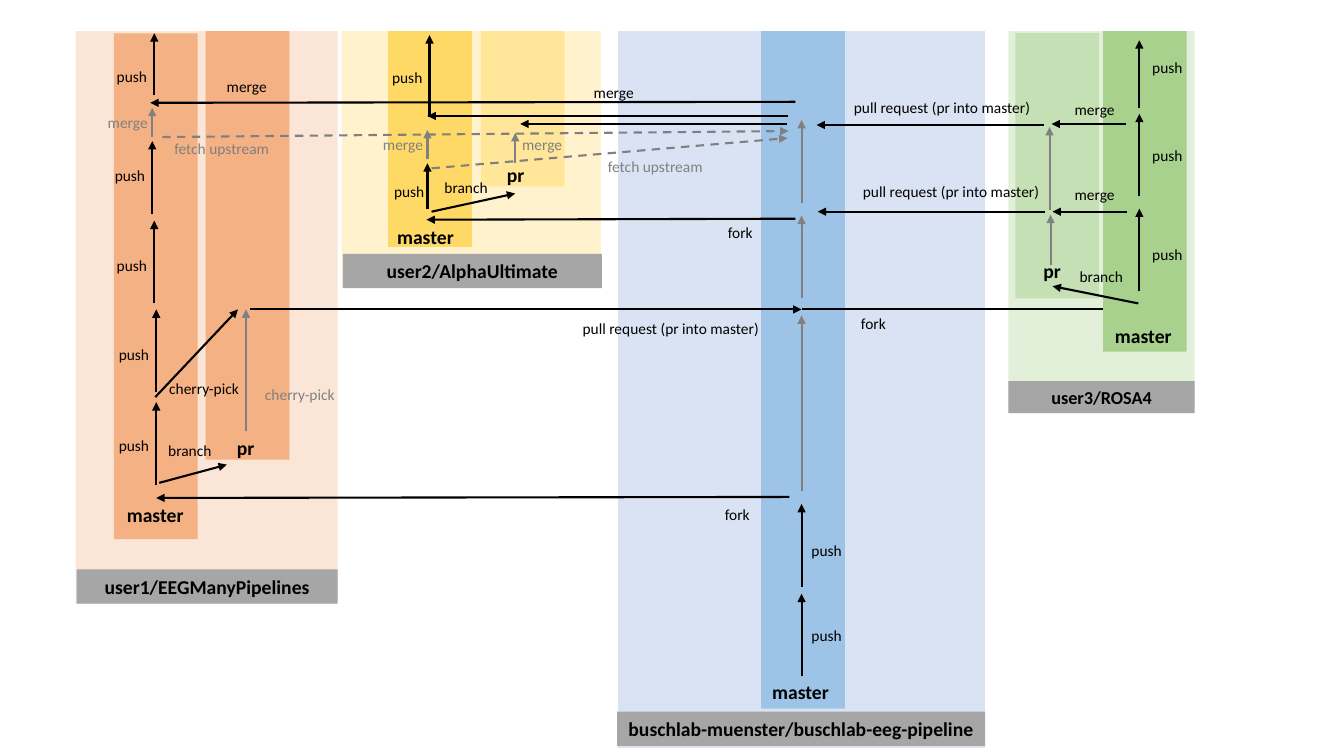
"""Build a slide of the git workflow between a main repository and three forks."""
from typing import NamedTuple

from lxml.etree import SubElement
from pptx import Presentation
from pptx.dml.color import RGBColor as Rgb
from pptx.enum.dml import MSO_LINE
from pptx.enum.shapes import MSO_CONNECTOR as Connector, MSO_SHAPE as Shape
from pptx.enum.text import MSO_ANCHOR as Anchor, MSO_AUTO_SIZE as AutoSize, PP_ALIGN as Align
from pptx.oxml.ns import qn
from pptx.util import Cm, Pt

CM_PER_INCH = 2.54
FONT = "Calibri"
BLACK = Rgb(0x00, 0x00, 0x00)
GREY = Rgb(0x80, 0x80, 0x80)
BAR_GREY = Rgb(0xA6, 0xA6, 0xA6)
PALE_GREEN = Rgb(0xE2, 0xF0, 0xD9)
LIGHT_GREEN = Rgb(0xC5, 0xE0, 0xB4)
GREEN = Rgb(0xA9, 0xD1, 0x8E)
PALE_BLUE = Rgb(0xDA, 0xE3, 0xF3)
BLUE = Rgb(0x9D, 0xC3, 0xE6)
PALE_ORANGE = Rgb(0xFB, 0xE5, 0xD6)
ORANGE = Rgb(0xF4, 0xB1, 0x83)
PALE_YELLOW = Rgb(0xFF, 0xF2, 0xCC)
LIGHT_YELLOW = Rgb(0xFF, 0xE6, 0x99)
YELLOW = Rgb(0xFF, 0xD9, 0x66)
LANE_WIDTH = 0.83


class Area(NamedTuple):
    left: float
    top: float
    width: float
    height: float
    colour: Rgb = BAR_GREY


class NameBar(NamedTuple):
    name: str
    area: Area
    size: int = 14


class Arrow(NamedTuple):
    x1: float
    y1: float
    x2: float
    y2: float
    colour: Rgb = BLACK
    dashed: bool = False


class Label(NamedTuple):
    text: str
    width: float
    spots: list[tuple[float, float]]
    colour: Rgb = BLACK


class History(NamedTuple):
    x: float
    steps: list[tuple[float, float]]
    colour: Rgb = BLACK


BACK_AREAS = [
    Area(10, 0.31, 1.85, 3.79, PALE_GREEN),
    Area(6.13, 0.31, 3.64, 7.11, PALE_BLUE),
    Area(7.55, 0.31, LANE_WIDTH, 6.72, BLUE),
    Area(0.75, 0.31, 2.6, 5.68, PALE_ORANGE),
    Area(2.04, 0.31, LANE_WIDTH, 4.25, ORANGE),
    Area(1.13, 0.33, LANE_WIDTH, 5.02, ORANGE),
]
USER3_FORK = Arrow(7.95, 3.07, 11.34, 3.07)
FRONT_AREAS = [
    Area(10.94, 0.31, LANE_WIDTH, 3.18, GREEN),
    Area(10.07, 0.33, LANE_WIDTH, 2.63, LIGHT_GREEN),
    Area(3.39, 0.31, 2.57, 2.54, PALE_YELLOW),
    Area(4.77, 0.31, LANE_WIDTH, 1.54, LIGHT_YELLOW),
    Area(3.85, 0.31, LANE_WIDTH, 2.14, YELLOW),
]
NAME_BARS = [
    NameBar("buschlab-muenster/buschlab-eeg-pipeline", Area(6.12, 7.06, 3.65, 0.34)),
    NameBar("user1/EEGManyPipelines", Area(0.76, 5.65, 2.59, 0.34)),
    NameBar("user2/AlphaUltimate", Area(3.4, 2.52, 2.57, 0.34)),
    NameBar("user3/ROSA4", Area(10, 3.78, 1.85, 0.32), size=13),
]
HISTORIES = [
    History(7.95, [(6.71, 5.89), (5.82, 5)]),
    History(7.95, [(4.87, 3.13), (2.96, 2.14), (2.01, 1.19)], GREY),
    History(1.55, [(4.81, 3.99), (3.89, 3.07)]),
    History(1.53, [(3.01, 2.19), (0.94, 0.33)]),
    History(1.51, [(2.12, 1.4)]),
    History(1.51, [(1.36, 1.07)], GREY),
    History(2.44, [(4.28, 3.07)], GREY),
    History(4.24, [(2.07, 1.62)]),
    History(4.24, [(1.58, 1.29)], GREY),
    History(4.26, [(1.16, 0.35)]),
    History(5.11, [(1.62, 1.32)], GREY),
    History(10.42, [(2.63, 2.13)], GREY),
    History(10.41, [(2.08, 1.26)], GREY),
    History(11.3, [(2.89, 2.07), (1.94, 1.13), (1.07, 0.4)]),
]
TRANSFERS = [
    Arrow(7.83, 4.93, 1.55, 4.94),
    Arrow(7.89, 2.17, 4.23, 2.18),
    Arrow(2.48, 3.07, 7.95, 3.07),
    Arrow(11.18, 2.1, 10.44, 2.1),
    Arrow(10.36, 2.1, 8.11, 2.1),
    Arrow(11.17, 1.23, 10.43, 1.23),
    Arrow(10.35, 1.24, 8.1, 1.24),
    Arrow(7.81, 1.23, 5.16, 1.23),
    Arrow(7.82, 1.15, 4.24, 1.15),
    Arrow(7.89, 1.01, 1.49, 1.02),
    Arrow(1.54, 3.94, 2.36, 3.07),
    Arrow(1.58, 4.79, 2.25, 4.61),
    Arrow(4.28, 2.1, 5.11, 1.92),
    Arrow(11.29, 3.01, 10.44, 2.84),
    Arrow(4.28, 1.67, 7.81, 1.37, GREY, dashed=True),
    Arrow(1.61, 1.36, 7.82, 1.3, GREY, dashed=True),
]
BRANCH_NAMES = [
    Label("master", 0.77, [(7.56, 6.7), (1.16, 4.94), (10.96, 3.16), (3.84, 2.18)]),
    Label("pr", 0.38, [(2.25, 4.28), (10.25, 2.52), (4.93, 1.57)]),
]
ACTIONS = [
    Label("push", 0.5, [(1.08, 4.28), (1.08, 3.37), (1.06, 2.49), (1.04, 1.6), (1.06, 0.62),
                        (7.95, 6.16), (7.95, 5.32), (3.81, 1.76), (3.79, 0.63),
                        (11.33, 2.38), (11.33, 1.4), (11.33, 0.53)]),
    Label("fork", 0.45, [(7.09, 4.96), (8.44, 3.07), (7.12, 2.16)]),
    Label("branch", 0.64, [(1.57, 4.33), (10.61, 2.6), (4.31, 1.72)]),
    Label("merge", 0.61, [(10.56, 1.79), (10.56, 0.94), (5.79, 0.78), (2.15, 0.72)]),
    Label("merge", 0.61, [(3.7, 1.29), (5.08, 1.29), (0.97, 1.07)], GREY),
    Label("cherry-pick", 0.9, [(1.58, 3.71)]),
    Label("cherry-pick", 0.9, [(2.53, 3.77)], GREY),
    Label("pull request (pr into master)", 1.97, [(5.68, 3.12), (8.46, 1.76), (8.37, 0.92)]),
    Label("fetch upstream", 1.18, [(5.93, 1.51), (1.63, 1.33)], GREY),
]


def inches(*values: float) -> list[Cm]:
    """Convert inch values to lengths."""
    return [Cm(value * CM_PER_INCH) for value in values]


def write(shape, text: str, *, size: int, bold: bool = False,
          colour: Rgb = BLACK, align: Align = Align.LEFT) -> None:
    """Fill a shape with one formatted line of text."""
    frame = shape.text_frame
    frame.word_wrap = False
    frame.auto_size = AutoSize.SHAPE_TO_FIT_TEXT
    paragraph = frame.paragraphs[0]
    paragraph.alignment = align
    run = paragraph.add_run()
    run.text = text
    font = run.font
    font.name, font.size, font.bold = FONT, Pt(size), bold
    font.color.rgb = colour


def draw_area(slide, area: Area):
    """Draw a plain filled rectangle."""
    shape = slide.shapes.add_shape(Shape.RECTANGLE, *inches(*area[:4]))
    shape.shadow.inherit = False
    shape.fill.solid()
    shape.fill.fore_color.rgb = area.colour
    shape.line.fill.background()
    return shape


def draw_name_bar(slide, bar: NameBar) -> None:
    """Draw the bar with a repository's name."""
    shape = draw_area(slide, bar.area)
    shape.text_frame.vertical_anchor = Anchor.MIDDLE
    write(shape, bar.name, size=bar.size, bold=True, align=Align.CENTER)


def draw_arrow(slide, arrow: Arrow) -> None:
    """Draw a straight arrow."""
    connector = slide.shapes.add_connector(Connector.STRAIGHT, *inches(*arrow[:4]))
    line = connector.line
    line.width = Pt(1.5)
    line.color.rgb = arrow.colour
    if arrow.dashed:
        line.dash_style = MSO_LINE.DASH
    properties = connector._element.spPr
    SubElement(properties.find(qn("a:ln")), qn("a:tailEnd"), type="triangle")
    SubElement(properties, qn("a:effectLst"))


def draw_label(slide, label: Label, *, size: int, height: float, bold: bool = False) -> None:
    """Write a label at each of its spots."""
    for left, top in label.spots:
        box = slide.shapes.add_textbox(*inches(left, top, label.width, height))
        write(box, label.text, size=size, bold=bold, colour=label.colour)


def main() -> None:
    """Build and save the slide."""
    deck = Presentation()
    deck.slide_width, deck.slide_height = inches(13.33, 7.5)
    slide = deck.slides.add_slide(deck.slide_layouts.get_by_name("Blank"))
    for area in BACK_AREAS:
        draw_area(slide, area)
    draw_arrow(slide, USER3_FORK)
    for area in FRONT_AREAS:
        draw_area(slide, area)
    for bar in NAME_BARS:
        draw_name_bar(slide, bar)
    for x, steps, colour in HISTORIES:
        for start, end in steps:
            draw_arrow(slide, Arrow(x, start, x, end, colour))
    for transfer in TRANSFERS:
        draw_arrow(slide, transfer)
    for branch in BRANCH_NAMES:
        draw_label(slide, branch, size=14, height=0.34, bold=True)
    for action in ACTIONS:
        draw_label(slide, action, size=11, height=0.29)
    deck.save("out.pptx")


main()
